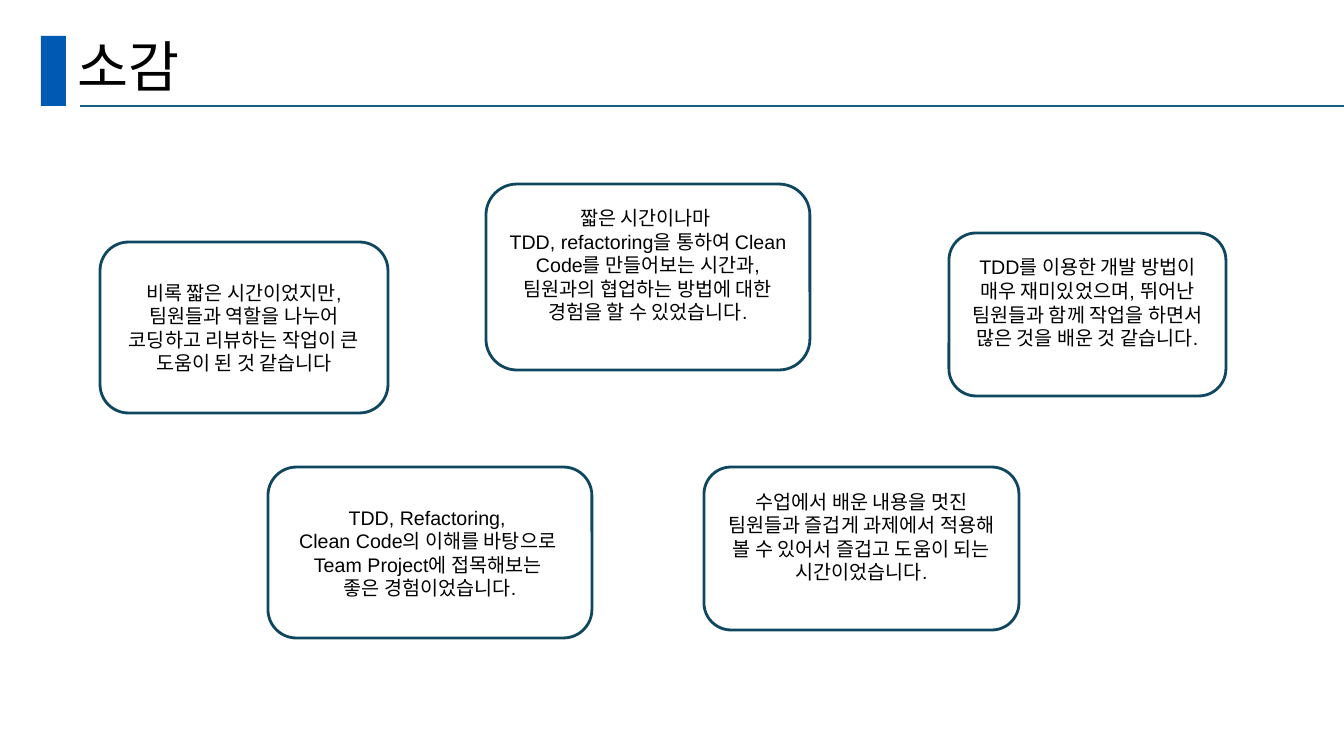
from pptx import Presentation
from pptx.dml.color import RGBColor
from pptx.enum.shapes import MSO_CONNECTOR, MSO_SHAPE
from pptx.enum.text import MSO_ANCHOR, MSO_AUTO_SIZE, PP_ALIGN
from pptx.oxml.ns import qn
from pptx.util import Pt
from lxml.etree import SubElement

TITLE = "소감"
# left, top, width, height, spare room under the text (all px), text
COMMENTS = [
    (100, 242, 288, 171, 0,
     "비록 짧은 시간이었지만, 팀원들과 역할을 나누어 코딩하고 리뷰하는 작업이 큰 도움이 된 것 같습니다"),
    (486, 184, 324, 186, 24,
     "짧은 시간이나마 \nTDD, refactoring을 통하여 Clean Code를 만들어보는 시간과, "
     "팀원과의 협업하는 방법에 대한 경험을 할 수 있었습니다."),
    (704, 467, 315, 163, 24,
     "수업에서 배운 내용을 멋진 팀원들과 즐겁게 과제에서 적용해 볼 수 있어서 즐겁고 도움이 되는 시간이었습니다."),
    (949, 233, 277, 163, 24,
     "TDD를 이용한 개발 방법이 매우 재미있었으며, 뛰어난 팀원들과 함께 작업을 하면서 많은 것을 배운 것 같습니다."),
    (268, 467, 324, 171, 0,
     "TDD, Refactoring, \vClean Code의 이해를 바탕으로 \vTeam Project에 접목해보는 \v좋은 경험이었습니다."),
]

BLUE = RGBColor(0x00, 0x5A, 0xB4)
TEAL = RGBColor(0x15, 0x60, 0x82)
DARK_TEAL = RGBColor(0x10, 0x47, 0x60)
BLACK = RGBColor(0x00, 0x00, 0x00)
LATIN_FONT = "Arial"
KOREAN_FONT = "Noto Sans CJK KR"
PAGE_WIDTH, PAGE_HEIGHT = 1344, 756
INSET = 5


def px(length):
    return round(length * 914400 / 100.8)


def format_text(frame, font, size, alignment):
    frame.word_wrap = True
    frame.auto_size = MSO_AUTO_SIZE.NONE
    frame.vertical_anchor = MSO_ANCHOR.MIDDLE
    for paragraph in frame.paragraphs:
        paragraph.alignment = alignment
        for run in paragraph.runs:
            run.font.name = font
            run.font.size = Pt(size)
            run.font.color.rgb = BLACK
            east_asian = SubElement(run.font._element, qn("a:ea"))
            east_asian.set("typeface", KOREAN_FONT)


def add_heading(page):
    bar = page.shapes.add_shape(MSO_SHAPE.RECTANGLE, px(41), px(36), px(25), px(70))
    bar.shadow.inherit = False
    bar.fill.solid()
    bar.fill.fore_color.rgb = BLUE
    bar.line.fill.background()

    rule = page.shapes.add_connector(
        MSO_CONNECTOR.STRAIGHT, px(80), px(106), px(PAGE_WIDTH), px(106))
    rule.line.color.rgb = TEAL
    rule.line.width = Pt(1.5)
    SubElement(rule._element.spPr, qn("a:effectLst"))

    title = page.shapes.title
    title.left, title.top, title.width, title.height = px(67), px(34), px(1159), px(72)
    title.text_frame.text = TITLE
    format_text(title.text_frame, KOREAN_FONT, 39.6, PP_ALIGN.LEFT)
    title.text_frame.paragraphs[0].line_spacing = 0.9


def add_comment(page, left, top, width, height, spare, text):
    box = page.shapes.add_shape(
        MSO_SHAPE.ROUNDED_RECTANGLE, px(left), px(top), px(width), px(height))
    box.shadow.inherit = False
    box.fill.background()
    box.line.color.rgb = DARK_TEAL
    box.line.width = Pt(2)
    box.text_frame.text = text
    box.text_frame.margin_bottom = px(INSET + spare)
    format_text(box.text_frame, LATIN_FONT, 14, PP_ALIGN.CENTER)


def main():
    deck = Presentation()
    deck.slide_width, deck.slide_height = px(PAGE_WIDTH), px(PAGE_HEIGHT)
    page = deck.slides.add_slide(deck.slide_layouts.get_by_name("Title Only"))
    add_heading(page)
    for comment in COMMENTS:
        add_comment(page, *comment)
    deck.save("out.pptx")


if __name__ == "__main__":
    main()
